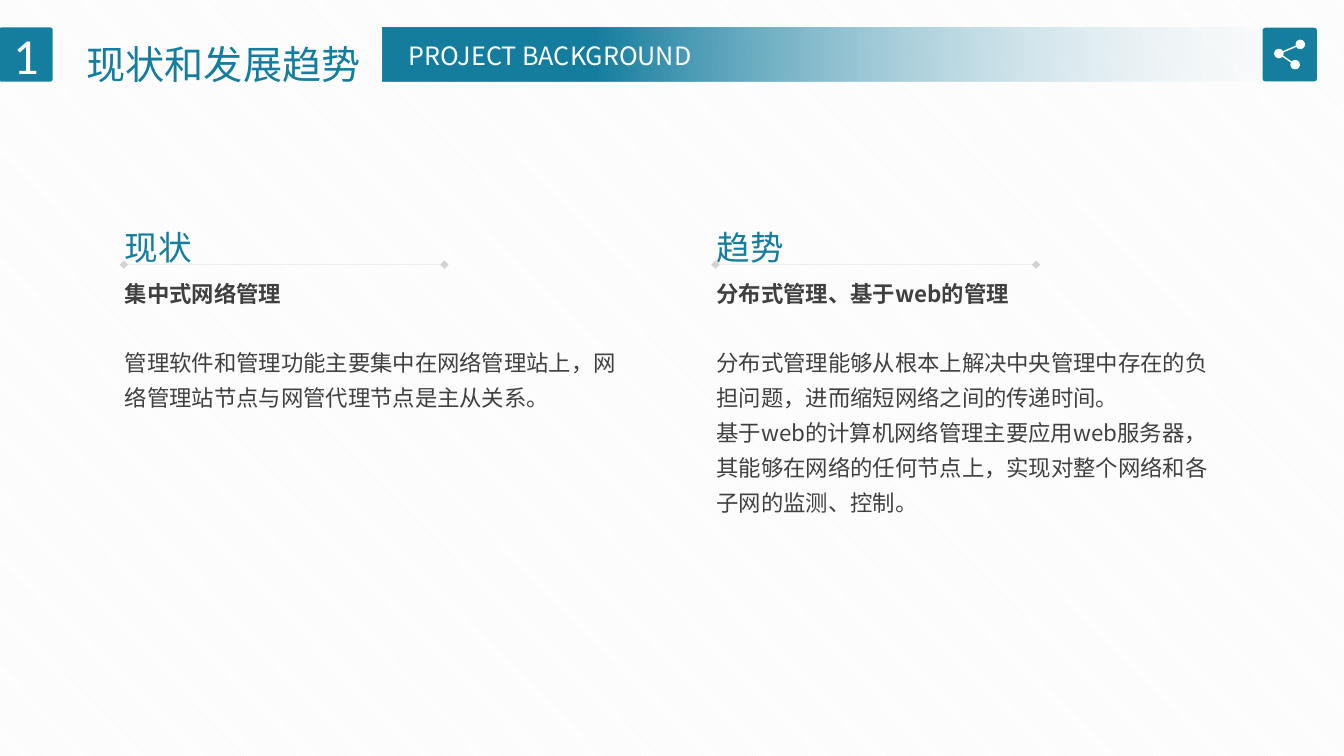
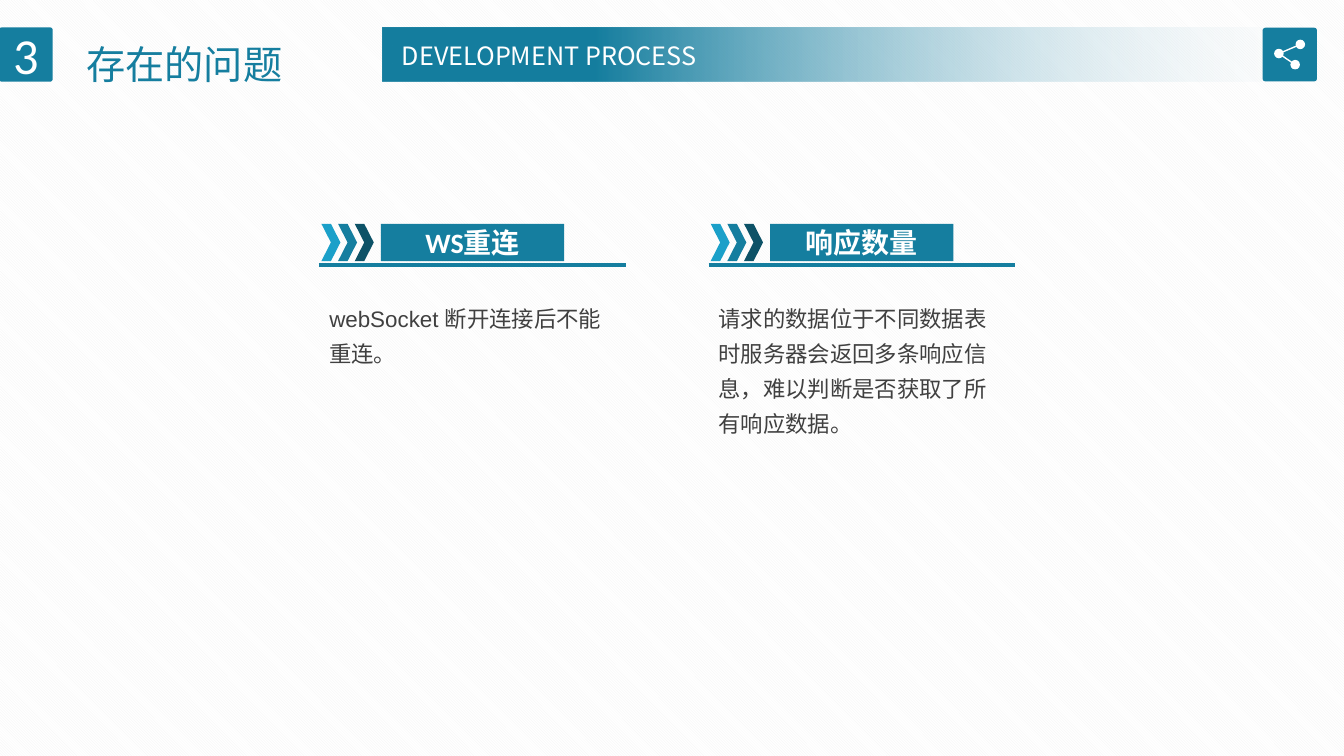
from lxml import etree
from pptx import Presentation
from pptx.dml.color import RGBColor
from pptx.enum.dml import MSO_PATTERN
from pptx.enum.shapes import MSO_CONNECTOR, MSO_SHAPE
from pptx.enum.text import MSO_ANCHOR, MSO_AUTO_SIZE, PP_ALIGN
from pptx.oxml.ns import qn
from pptx.util import Cm, Pt

# Enum members
RECT, ROUND = MSO_SHAPE.RECTANGLE, MSO_SHAPE.ROUNDED_RECTANGLE
CHEVRON, OVAL = MSO_SHAPE.CHEVRON, MSO_SHAPE.OVAL
STRAIGHT = MSO_CONNECTOR.STRAIGHT
DIAGONAL = MSO_PATTERN.DARK_DOWNWARD_DIAGONAL
LEFT, CENTER = PP_ALIGN.LEFT, PP_ALIGN.CENTER
MIDDLE = MSO_ANCHOR.MIDDLE
GROW = MSO_AUTO_SIZE.SHAPE_TO_FIT_TEXT

# Colours and fonts
TEAL = RGBColor(0x15, 0x7E, 0x9F)
TEAL_LIGHT = RGBColor(0x1B, 0xA0, 0xC9)
TEAL_DARK = RGBColor(0x0D, 0x52, 0x67)
PALE = RGBColor(0xF7, 0xFA, 0xFD)
STRIPE = RGBColor(0xF2, 0xF2, 0xF2)
WHITE = RGBColor(0xFF, 0xFF, 0xFF)
GRAY = RGBColor(0x80, 0x80, 0x80)
INK = RGBColor(0x40, 0x40, 0x40)
SANS, CALIBRI, ARIAL = "Noto Sans CJK SC", "Calibri", "Arial"


# Basic elements
def add_run(p, text, size, color, font=SANS, bold=False):
    r = p.add_run()
    r.text = text
    r.font.size, r.font.bold, r.font.name = Pt(size), bold, font
    r.font.color.rgb = color
    etree.SubElement(r.font._element, qn("a:ea"), typeface=SANS)


def add_box(s, kind, x, y, w, h, color):
    sp = s.shapes.add_shape(kind, Cm(x), Cm(y), Cm(w), Cm(h))
    sp.shadow.inherit = False
    sp.fill.solid()
    sp.fill.fore_color.rgb = color
    sp.line.fill.background()
    if kind == ROUND:
        sp.adjustments[0] = 0.05
    return sp


def add_label(sp, text, size, bold=False):
    tf = sp.text_frame
    tf.vertical_anchor = MIDDLE
    p = tf.paragraphs[0]
    p.alignment = CENTER
    add_run(p, text, size, WHITE, CALIBRI, bold)


def add_text(s, x, y, w, h, lines, size, color, spacing=1.0, font=SANS):
    """Each line is (text, bold, space before in points)."""
    tf = s.shapes.add_textbox(Cm(x), Cm(y), Cm(w), Cm(h)).text_frame
    tf.word_wrap = True
    tf.auto_size = GROW
    for i, (text, bold, before) in enumerate(lines):
        p = tf.add_paragraph() if i else tf.paragraphs[0]
        p.alignment, p.line_spacing = LEFT, spacing
        p.space_before = Pt(before)
        add_run(p, text, size, color, font, bold)


def add_line(s, x1, y1, x2, y2, color, width):
    c = s.shapes.add_connector(STRAIGHT, Cm(x1), Cm(y1), Cm(x2), Cm(y2))
    c.line.color.rgb = color
    c.line.width = Pt(width)
    etree.SubElement(c._element.spPr, qn("a:effectLst"))
    return c


def set_alpha(fill, percent):
    for clr in fill.iter(qn("a:srgbClr")):
        etree.SubElement(clr, qn("a:alpha"), val=str(percent * 1000))


# Shared header
def add_share_icon(s):
    add_box(s, ROUND, 31.82, 0.7, 1.37, 1.35, TEAL)
    nodes = [(32.77, 1.12), (32.23, 1.35), (32.64, 1.63)]
    for start, end in zip(nodes, nodes[1:]):
        add_line(s, *start, *end, WHITE, 1)
    radius = 0.12
    for x, y in nodes:
        add_box(s, OVAL, x - radius, y - radius, 2 * radius, 2 * radius, WHITE)


def add_header(s, number, title, subtitle, subtitle_x):
    badge = add_box(s, ROUND, -0.02, 0.69, 1.35, 1.37, TEAL)
    add_label(badge, number, 36)
    add_text(s, 1.93, 0.3, 7.75, 1.83, [(title, False, 0)], 28, TEAL, 1.5)
    band = add_box(s, RECT, 9.65, 0.7, 24.22, 1.36, TEAL)
    band.fill.gradient()
    band.fill.gradient_angle = 180
    fade, solid = band.fill.gradient_stops
    fade.position, fade.color.rgb = 0, PALE
    solid.position, solid.color.rgb = 0.78, TEAL
    set_alpha(band._element.spPr.find(".//" + qn("a:gs")), 0)
    add_text(s, subtitle_x, 0.89, 15, 1.02, [(subtitle, False, 0)], 18, WHITE)
    add_share_icon(s)


# Slide content
def add_topic(s, x, heading, lines):
    add_text(s, x, 5.28, 3, 1.45, [(heading, False, 0)], 24, TEAL, 1.3)
    rule = add_line(s, x + 0.22, 6.67, x + 8.3, 6.67, GRAY, 0.25)
    ln = rule.line._get_or_add_ln()
    set_alpha(ln, 33)
    for end in ("a:headEnd", "a:tailEnd"):
        etree.SubElement(ln, qn(end), type="diamond")
    add_text(s, x, 6.72, 13.16, 3.81, lines, 16, INK, 1.3)


def add_problem(s, x, tag, text):
    add_line(s, x, 6.68, x + 7.72, 6.68, TEAL, 3)
    add_text(s, x, 7.37, 7.72, 1.96, [(text, False, 0)], 16, INK, 1.3, ARIAL)
    add_label(add_box(s, RECT, x + 1.55, 5.64, 4.62, 0.94, TEAL), tag, 20, True)
    for i, color in enumerate((TEAL_LIGHT, TEAL, TEAL_DARK)):
        add_box(s, CHEVRON, x + 0.05 + 0.42 * i, 5.64, 0.48, 0.94, color)


def main():
    prs = Presentation()
    prs.slide_width, prs.slide_height = Cm(33.87), Cm(19.05)
    fill = prs.slide_master.background.fill
    fill.patterned()
    fill.pattern = DIAGONAL
    fill.fore_color.rgb, fill.back_color.rgb = STRIPE, WHITE
    blank = prs.slide_layouts[6]

    # Status and trends
    s = prs.slides.add_slide(blank)
    add_header(s, "1", "现状和发展趋势", "PROJECT BACKGROUND", 10.04)
    add_topic(s, 2.9, "现状", [
        ("集中式网络管理", True, 0),
        ("管理软件和管理功能主要集中在网络管理站上，"
         "网络管理站节点与网管代理节点是主从关系。", False, 25),
    ])
    add_topic(s, 17.81, "趋势", [
        ("分布式管理、基于web的管理", True, 0),
        ("分布式管理能够从根本上解决中央管理中存在的负担问题，"
         "进而缩短网络之间的传递时间。", False, 25),
        ("基于web的计算机网络管理主要应用web服务器，其能够在网络的"
         "任何节点上，实现对整个网络和各子网的监测、控制。", False, 0),
    ])

    # Existing problems
    s = prs.slides.add_slide(blank)
    add_problem(s, 8.05, "WS重连", "webSocket 断开连接后不能重连。")
    add_problem(s, 17.86, "响应数量",
                "请求的数据位于不同数据表时服务器会返回多条响应信息，"
                "难以判断是否获取了所有响应数据。")
    add_header(s, "3", "存在的问题", "DEVELOPMENT PROCESS", 9.88)

    prs.save("out.pptx")


main()
